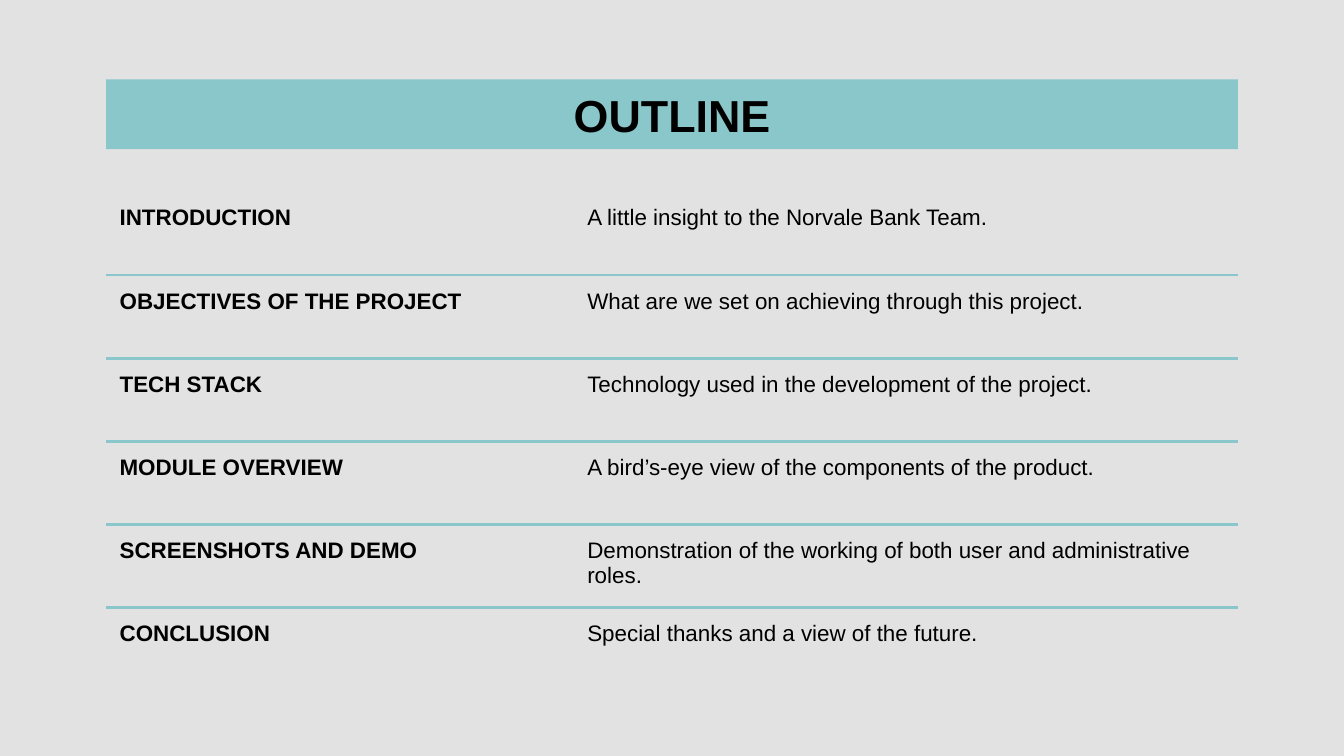
from lxml import etree
from pptx import Presentation
from pptx.dml.color import RGBColor
from pptx.enum.shapes import MSO_SHAPE
from pptx.enum.text import MSO_ANCHOR, PP_ALIGN
from pptx.oxml.ns import qn
from pptx.util import Inches, Pt

RECTANGLE = MSO_SHAPE.RECTANGLE
MIDDLE, TOP = MSO_ANCHOR.MIDDLE, MSO_ANCHOR.TOP
CENTER, LEFT = PP_ALIGN.CENTER, PP_ALIGN.LEFT

TITLE = "OUTLINE"
TOPICS = [
    ("INTRODUCTION", "A little insight to the Norvale Bank Team."),
    ("OBJECTIVES OF THE PROJECT", "What are we set on achieving through this project."),
    ("TECH STACK", "Technology used in the development of the project."),
    ("MODULE OVERVIEW", "A bird’s-eye view of the components of the product."),
    ("SCREENSHOTS AND DEMO", "Demonstration of the working of both user and administrative roles."),
    ("CONCLUSION", "Special thanks and a view of the future."),
]

GREY = RGBColor(0xE2, 0xE2, 0xE2)
TEAL = RGBColor(0x89, 0xC7, 0xCA)
BLACK = RGBColor(0, 0, 0)
FONT = "Arial"

PAGE_WIDTH = 10
PAGE_HEIGHT = PAGE_WIDTH * 9 / 16
MARGIN = 0.79
CONTENT_WIDTH = PAGE_WIDTH - 2 * MARGIN
BANNER_TOP, BANNER_HEIGHT = 0.59, 0.52
TABLE_TOP, TABLE_HEIGHT = 1.43, 3.71
ROW_HEIGHT = TABLE_HEIGHT / len(TOPICS)
COLUMN_WIDTHS = (3.48, CONTENT_WIDTH - 3.48)
INSET = Inches(0.1)
RULE_WIDTH = Pt(1.5)


def write(frame, text, size, bold, align):
    frame.text = text
    frame.word_wrap = True
    paragraph = frame.paragraphs[0]
    paragraph.alignment = align
    font = paragraph.runs[0].font
    font.name, font.size, font.bold = FONT, Pt(size), bold
    font.color.rgb = BLACK


def set_insets(holder):
    holder.margin_left = holder.margin_right = INSET
    holder.margin_top = holder.margin_bottom = INSET


def set_borders(cell, ruled_sides):
    properties = cell._tc.get_or_add_tcPr()
    for position, side in enumerate(("lnL", "lnR", "lnT", "lnB")):
        line = etree.Element(qn(f"a:{side}"))
        if side in ruled_sides:
            line.set("w", str(int(RULE_WIDTH)))
            fill = etree.SubElement(line, qn("a:solidFill"))
            etree.SubElement(fill, qn("a:srgbClr"), val=str(TEAL))
        else:
            etree.SubElement(line, qn("a:noFill"))
        properties.insert(position, line)


deck = Presentation()
deck.slide_width, deck.slide_height = Inches(PAGE_WIDTH), Inches(PAGE_HEIGHT)
page = deck.slides.add_slide(deck.slide_layouts[6])
page.background.fill.solid()
page.background.fill.fore_color.rgb = GREY

banner = page.shapes.add_shape(
    RECTANGLE, Inches(MARGIN), Inches(BANNER_TOP), Inches(CONTENT_WIDTH), Inches(BANNER_HEIGHT)
)
banner.shadow.inherit = False
banner.fill.solid()
banner.fill.fore_color.rgb = TEAL
banner.line.fill.background()
set_insets(banner.text_frame)
banner.text_frame.vertical_anchor = MIDDLE
write(banner.text_frame, TITLE, 24, True, CENTER)

table = page.shapes.add_table(
    len(TOPICS), len(COLUMN_WIDTHS), Inches(MARGIN), Inches(TABLE_TOP),
    Inches(CONTENT_WIDTH), Inches(TABLE_HEIGHT),
).table
table.first_row = table.horz_banding = False
for column, width in zip(table.columns, COLUMN_WIDTHS):
    column.width = Inches(width)

for row_index, topic in enumerate(TOPICS):
    table.rows[row_index].height = Inches(ROW_HEIGHT)
    ruled_sides = set()
    if row_index > 0:
        ruled_sides.add("lnT")
    if row_index < len(TOPICS) - 1:
        ruled_sides.add("lnB")
    for column_index, text in enumerate(topic):
        cell = table.cell(row_index, column_index)
        set_insets(cell)
        cell.vertical_anchor = TOP
        cell.fill.background()
        write(cell.text_frame, text, 12, column_index == 0, LEFT)
        set_borders(cell, ruled_sides)

deck.save("out.pptx")
